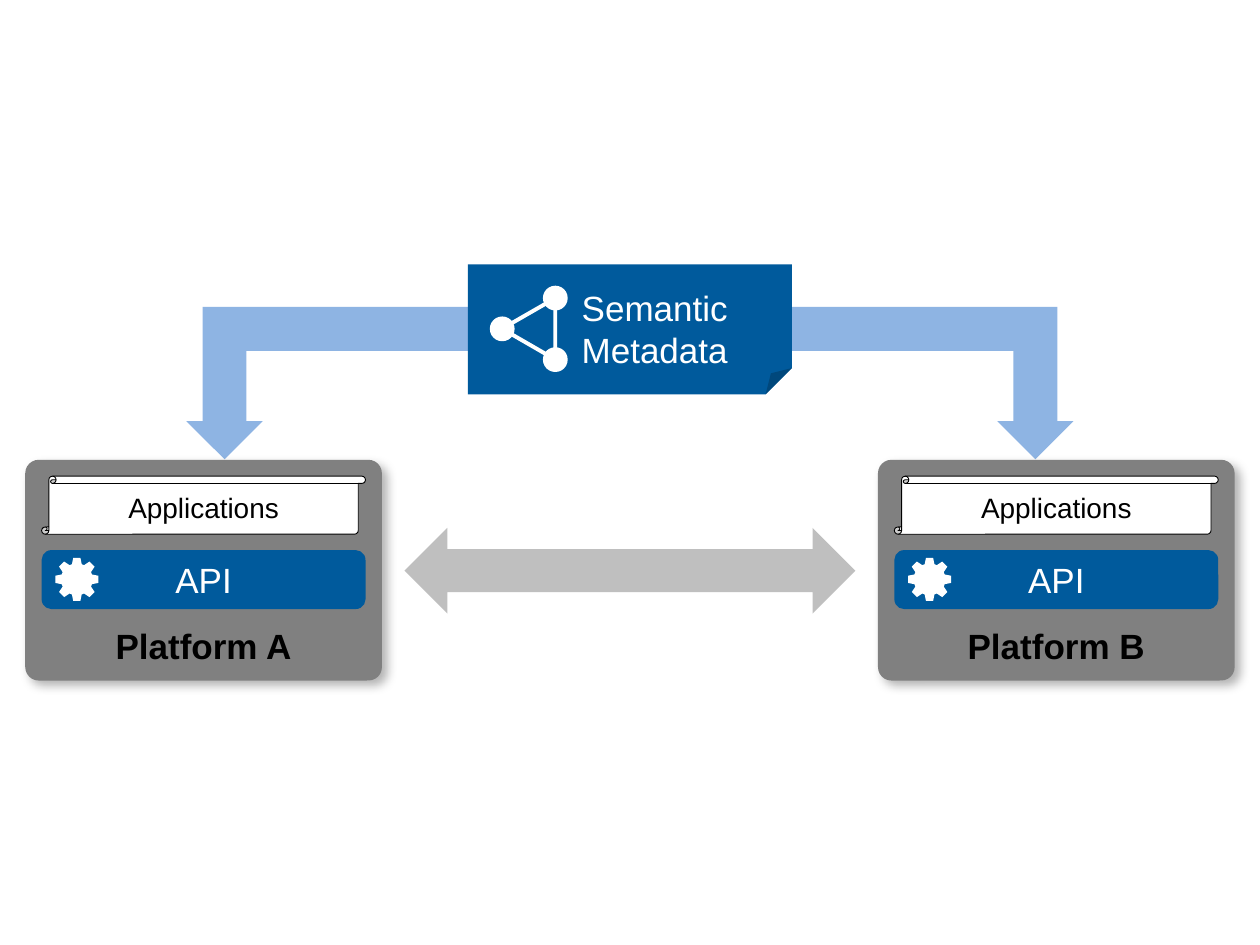
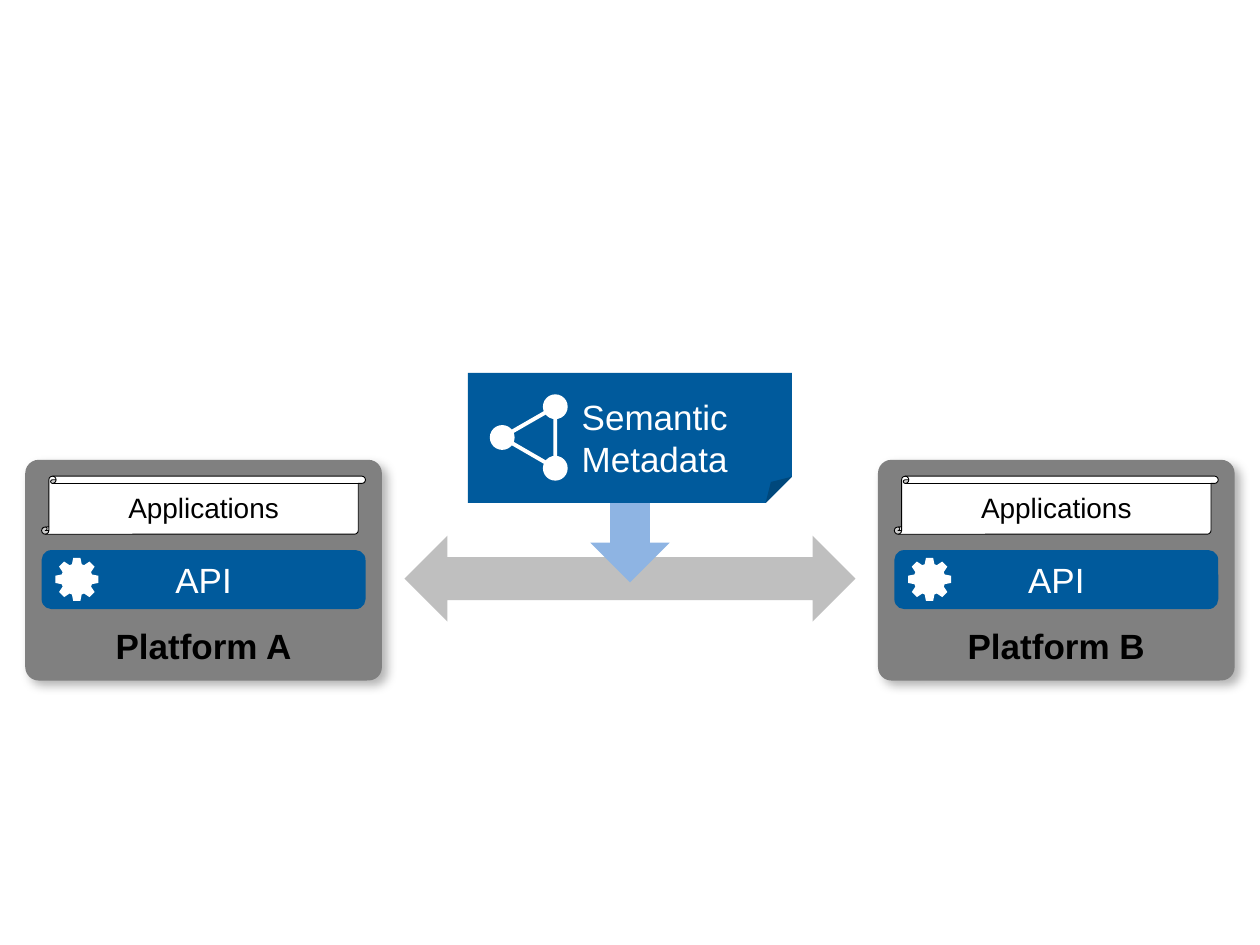
from dataclasses import dataclass
from math import cos, radians, sin

from lxml import etree
from pptx import Presentation
from pptx import util as u
from pptx.dml.color import RGBColor
from pptx.enum import shapes, text
from pptx.oxml.ns import qn

Cm = u.Cm
MSO = shapes.MSO_SHAPE
SLIDE_W, SLIDE_H = 25.4, 19.05
PLATFORM_W, PLATFORM_H = 7.19, 4.45
PLATFORM_X, PLATFORM_Y = 0.51, 9.27
LAYER_W, LAYER_INSET = 6.53, 0.33
NOTE_H = 2.62


@dataclass(frozen=True)
class Theme:
    font: str = "Arial"
    label_size: int = 20
    app_size: int = 16
    blue: str = "005A9C"
    light_blue: str = "8EB4E3"
    grey: str = "808080"
    light_grey: str = "BFBFBF"
    black: str = "000000"
    white: str = "FFFFFF"


THEME = Theme()


def centred(width):
    return (SLIDE_W - width) / 2


def mirrored(left, width):
    return SLIDE_W - left - width


def paint(sp, fill, line=None, weight=0.5):
    sp.shadow.inherit = False
    if fill:
        sp.fill.solid()
        sp.fill.fore_color.rgb = RGBColor.from_string(fill)
    else:
        sp.fill.background()
    if line:
        sp.line.color.rgb = RGBColor.from_string(line)
        sp.line.width = u.Pt(weight)
    else:
        sp.line.fill.background()


def set_guides(sp, guides):
    geometry = sp._element.spPr.find(qn("a:prstGeom"))
    for child in list(geometry):
        geometry.remove(child)
    values = etree.SubElement(geometry, qn("a:avLst"))
    for name, value in guides.items():
        etree.SubElement(values, qn("a:gd"), name=name, fmla=f"val {value}")


def add_box(parent, kind, x, y, w, h, fill, line=None, weight=0.5, guides=None, rotation=0):
    sp = parent.add_shape(kind, Cm(x), Cm(y), Cm(w), Cm(h))
    if guides:
        set_guides(sp, guides)
    sp.rotation = rotation
    paint(sp, fill, line, weight)
    return sp


def set_label(sp, label, color, size=THEME.label_size, bold=False,
              anchor=text.MSO_ANCHOR.MIDDLE, insets=(0.25, 0.13, 0.25, 0.13)):
    tf = sp.text_frame
    tf.word_wrap = False
    tf.vertical_anchor = anchor
    tf.margin_left, tf.margin_top, tf.margin_right, tf.margin_bottom = map(Cm, insets)
    tf.text = label
    for p in tf.paragraphs:
        p.alignment = text.PP_ALIGN.CENTER
        for r in p.runs:
            r.font.name = THEME.font
            r.font.size = u.Pt(size)
            r.font.bold = bold
            r.font.color.rgb = RGBColor.from_string(color)


def add_shadow(sp):
    effects = sp._element.spPr.find(qn("a:effectLst"))
    shadow = etree.SubElement(effects, qn("a:outerShdw"), blurRad=str(int(u.Pt(6))),
                              dist=str(int(u.Pt(4))), dir="2700000", algn="tl",
                              rotWithShape="0")
    color = etree.SubElement(shadow, qn("a:srgbClr"), val=THEME.black)
    etree.SubElement(color, qn("a:alpha"), val="30000")


def add_gear(slide, cx, cy, outer=0.44, inner=0.32, teeth=8):
    profile = ((inner, -18), (outer, -9.5), (outer, 9.5), (inner, 18), (inner, 22.5))
    points = []
    for tooth in range(teeth):
        for radius, offset in profile:
            angle = radians(tooth * 360 / teeth + offset)
            points.append((Cm(cx + radius * cos(angle)), Cm(cy + radius * sin(angle))))
    builder = slide.shapes.build_freeform(*points[0])
    builder.add_line_segments(points[1:], close=True)
    paint(builder.convert_to_shape(), THEME.white)


def add_platform(slide, x, name):
    y = PLATFORM_Y
    body = add_box(slide.shapes, MSO.ROUNDED_RECTANGLE, x, y, PLATFORM_W, PLATFORM_H,
                   THEME.grey, guides={"adj": 6100})
    add_shadow(body)
    set_label(body, name, THEME.black, bold=True, anchor=text.MSO_ANCHOR.BOTTOM,
              insets=(0.25, 0.1, 0.25, 0.2))
    api = add_box(slide.shapes, MSO.ROUNDED_RECTANGLE, x + LAYER_INSET, y + 1.82,
                  LAYER_W, 1.19, THEME.blue)
    set_label(api, "API", THEME.white)
    apps = add_box(slide.shapes, MSO.VERTICAL_SCROLL, x + LAYER_INSET, y + LAYER_INSET,
                   LAYER_W, 1.17, THEME.white, THEME.black)
    set_label(apps, "Applications", THEME.black, THEME.app_size)
    add_gear(slide, x + 1.04, y + 2.41)


def add_platforms(slide):
    add_platform(slide, PLATFORM_X, "Platform A")
    add_platform(slide, mirrored(PLATFORM_X, PLATFORM_W), "Platform B")


def add_share_icon(slide, x, y, node=0.5):
    icon = slide.shapes.add_group_shape().shapes
    add_box(icon, MSO.ISOSCELES_TRIANGLE, x + 0.87, y + 0.61, 1.24, 1.07,
            None, THEME.white, 2.25, rotation=30)
    for cx, cy in ((1.76, 0.68), (0.69, 1.3), (1.76, 1.92)):
        add_box(icon, MSO.OVAL, x + cx - node / 2, y + cy - node / 2, node, node, THEME.white)


def add_metadata_note(slide, y):
    x = centred(LAYER_W)
    note = add_box(slide.shapes, MSO.FOLDED_CORNER, x, y, LAYER_W, NOTE_H,
                   THEME.blue, guides={"adj": 20200})
    set_label(note, "Semantic\nMetadata", THEME.white, insets=(1, 0.6, 0, 0.1))
    add_share_icon(slide, x, y)


def add_exchange_arrow(slide, y):
    w = 9.09
    add_box(slide.shapes, MSO.LEFT_RIGHT_ARROW, centred(w), y, w, 1.73, THEME.light_grey)


def add_bent_arrow(slide, x, w, to_left=False):
    sp = add_box(slide.shapes, MSO.BENT_UP_ARROW, x, 6.19, w, 3.07, THEME.light_blue,
                 guides={"adj1": 28800, "adj2": 25000, "adj3": 25000})
    xfrm = sp._element.spPr.find(qn("a:xfrm"))
    xfrm.set("flipV", "1")
    if to_left:
        xfrm.set("flipH", "1")


def build_metadata_per_platform(slide):
    x, w = 3.76, 7.26
    add_bent_arrow(slide, x, w, to_left=True)
    add_bent_arrow(slide, mirrored(x, w), w)
    add_platforms(slide)
    add_exchange_arrow(slide, 10.64)
    add_metadata_note(slide, 5.33)


def build_metadata_on_exchange(slide):
    w = 1.6
    add_platforms(slide)
    add_exchange_arrow(slide, 10.8)
    add_box(slide.shapes, MSO.DOWN_ARROW, centred(w), 8.97, w, 2.77, THEME.light_blue)
    add_metadata_note(slide, 7.52)


def main():
    prs = Presentation()
    prs.slide_width, prs.slide_height = Cm(SLIDE_W), Cm(SLIDE_H)
    for build in (build_metadata_per_platform, build_metadata_on_exchange):
        build(prs.slides.add_slide(prs.slide_layouts[6]))
    prs.save("out.pptx")


if __name__ == "__main__":
    main()
